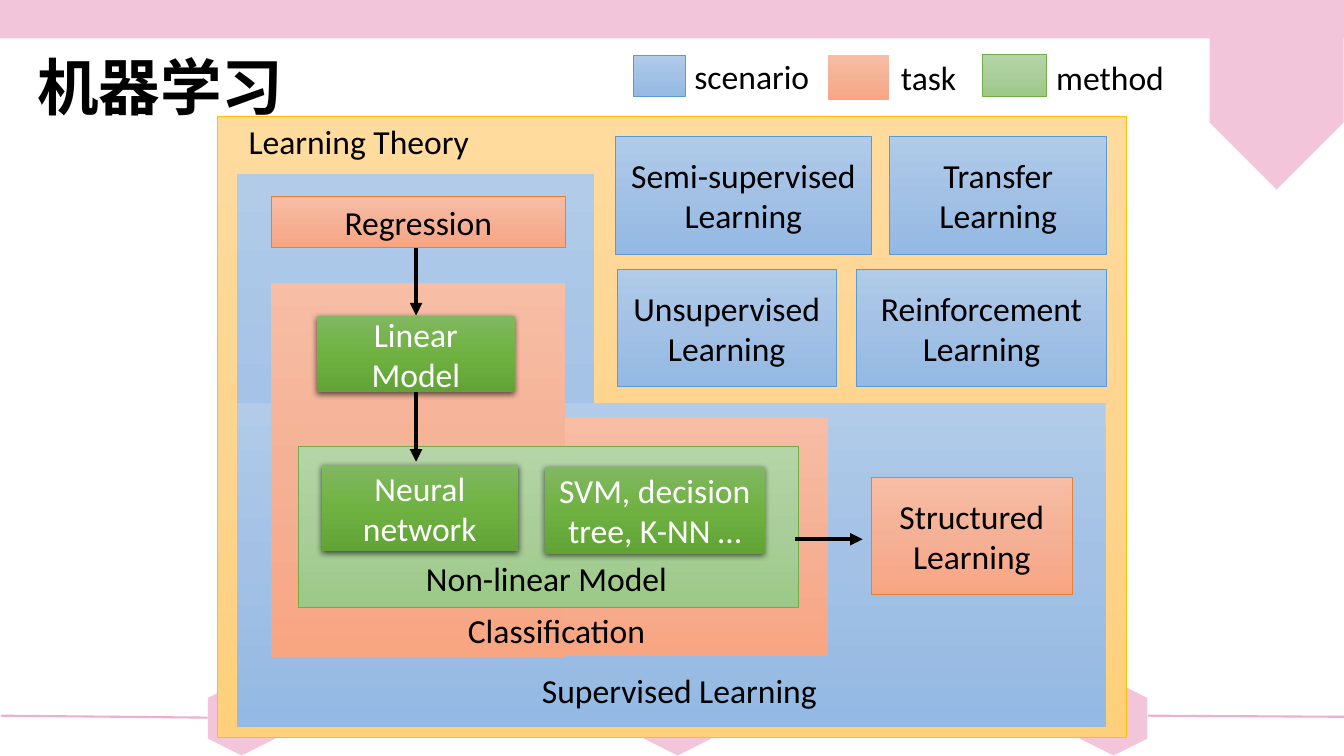
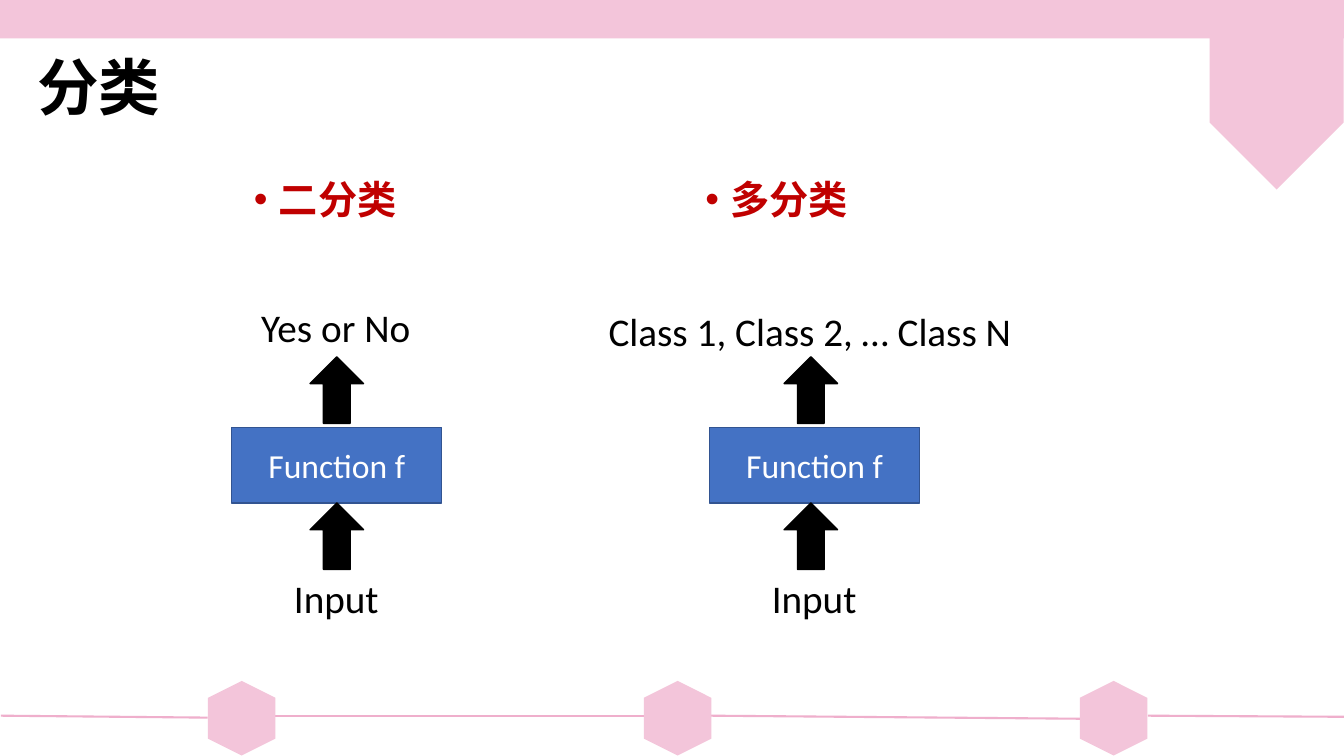
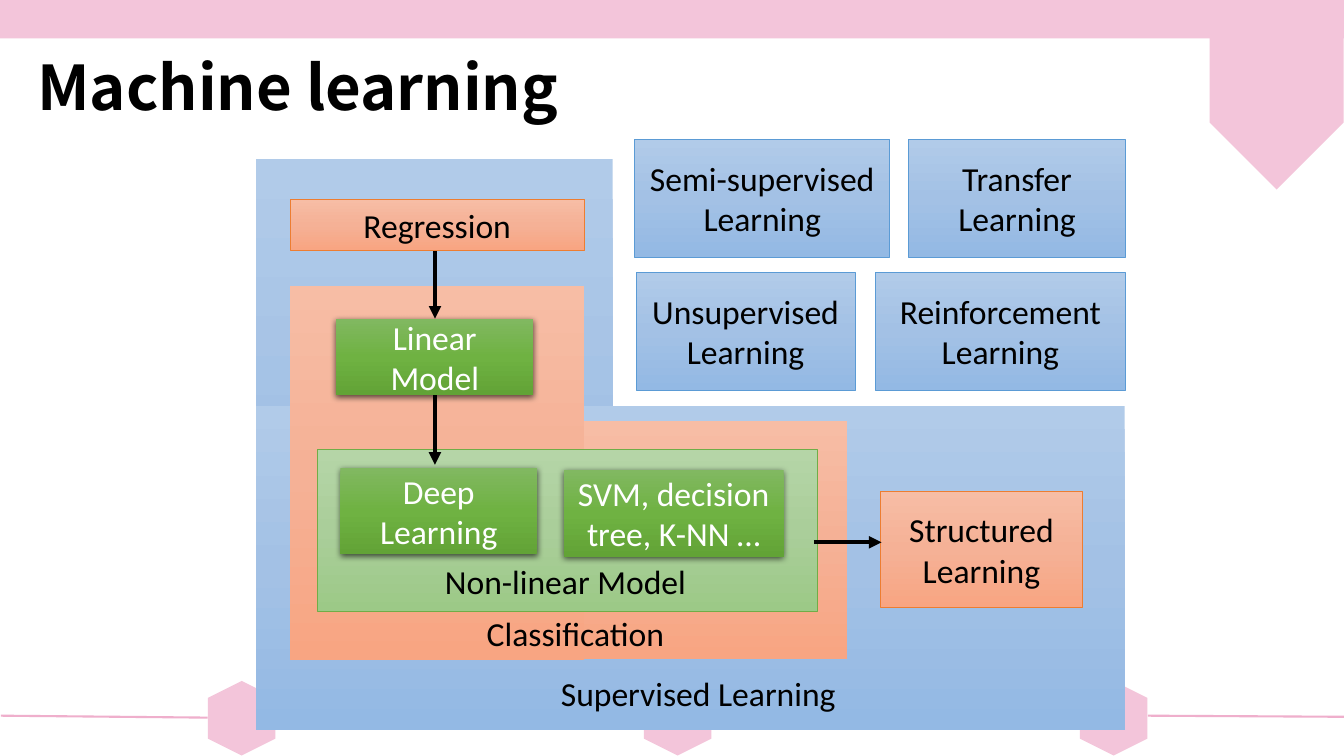
from lxml.etree import SubElement
from pptx import Presentation
from pptx.dml.color import RGBColor
from pptx.enum.shapes import MSO_CONNECTOR, MSO_SHAPE
from pptx.enum.text import MSO_ANCHOR, MSO_AUTO_SIZE, PP_ALIGN
from pptx.oxml.ns import qn
from pptx.util import Pt

LATIN = "Calibri"
HAN = "Noto Sans CJK SC"
BLACK, WHITE, RED = "000000", "FFFFFF", "C00000"
PINK, ROSE = "F3C5DA", "EFAFCC"
BLUE, NAVY = "4472C4", "325491"
TONES = {
    "theory": ("FFDB9E", "FFD590", "FFD07C"),
    "scene": ("B1CBE9", "A3C1E5", "93B9E4"),
    "task": ("F7BDA5", "F5B196", "F8A582"),
    "method": ("B5D5A7", "AACE9A", "9CC987"),
    "model": ("81B861", "6FB242", "62A336"),
}
EDGES = {"theory": "FFC000", "scene": "5B9BD5", "task": "ED7D31", "method": "70AD47"}


def hue(code):
    return RGBColor.from_string(code)


def place(org, box):
    x, y, w, h = box
    return [Pt(v) for v in (org[0] + x, org[1] + y, w, h)]


def style(para, size, color, font=LATIN, bold=False):
    for run in para.runs:
        run.font.size = Pt(size)
        run.font.bold = bold
        run.font.color.rgb = hue(color)
        run.font.name = font
        SubElement(run._r.get_or_add_rPr(), qn("a:ea"), typeface=font)


def write(shape, text, size=24, color=BLACK, align=PP_ALIGN.CENTER):
    frame = shape.text_frame
    frame.word_wrap = True
    frame.vertical_anchor = MSO_ANCHOR.MIDDLE
    frame.text = text
    para = frame.paragraphs[0]
    para.alignment = align
    style(para, size, color)


def label(slide, org, box, text, size=24, align=PP_ALIGN.CENTER):
    write(slide.shapes.add_textbox(*place(org, box)), text, size, align=align)


def solid(slide, kind, org, box, fill, edge=None):
    shape = slide.shapes.add_shape(kind, *place(org, box))
    shape.shadow.inherit = False
    shape.fill.solid()
    shape.fill.fore_color.rgb = hue(fill)
    if edge:
        shape.line.color.rgb = hue(edge)
        shape.line.width = Pt(1)
    else:
        shape.line.fill.background()
    return shape


def block(slide, org, box, tone, text="", edge=True):
    shape = solid(slide, MSO_SHAPE.RECTANGLE, org, box, WHITE)
    shape.fill.gradient()
    shape.fill.gradient_angle = 270
    stops = shape.element.spPr.find(".//" + qn("a:gsLst"))
    for stop in list(stops):
        stops.remove(stop)
    for i, code in enumerate(TONES[tone]):
        stop = SubElement(stops, qn("a:gs"), pos=str(i * 50000))
        SubElement(stop, qn("a:srgbClr"), val=code)
    if edge and tone in EDGES:
        shape.line.color.rgb = hue(EDGES[tone])
        shape.line.width = Pt(0.5)
    if tone == "model":
        shade(shape)
    if text:
        write(shape, text, color=WHITE if tone == "model" else BLACK)


def shade(shape):
    effects = shape.element.spPr.find(qn("a:effectLst"))
    outer = SubElement(effects, qn("a:outerShdw"), blurRad=str(Pt(4.5)),
                       dist=str(Pt(1.5)), dir="5400000", algn="ctr", rotWithShape="0")
    color = SubElement(outer, qn("a:srgbClr"), val=BLACK)
    SubElement(color, qn("a:alpha"), val="63000")


def link(slide, org, ends, color, width, arrow=False):
    x1, y1, x2, y2 = ends
    x, y = org
    line = slide.shapes.add_connector(
        MSO_CONNECTOR.STRAIGHT, Pt(x + x1), Pt(y + y1), Pt(x + x2), Pt(y + y2))
    line.line.color.rgb = hue(color)
    line.line.width = Pt(width)
    props = line.element.spPr
    if arrow:
        SubElement(props.find(qn("a:ln")), qn("a:tailEnd"), type="triangle")
    SubElement(props, qn("a:effectLst"))


def dress(slide, layout):
    org = (0, 0)
    for ends in ((196.6, 511.2, 460, 511.2), (507.6, 511.2, 771.8, 513.4),
                 (0.7, 511.2, 148.3, 512.6), (820, 511.2, 960, 512)):
        link(slide, org, ends, ROSE, 1.5)
    for i in range(3):
        box = (146 + i * 311.4, 488.9, 53.3, 48.2)
        solid(slide, MSO_SHAPE.HEXAGON, org, box, PINK).rotation = 270
    solid(slide, MSO_SHAPE.RECTANGLE, org, (0, -1.4, 960, 28.8), PINK)
    solid(slide, MSO_SHAPE.PENTAGON, org, (846, 21.6, 131.8, 95.8), PINK).rotation = 90
    for spare in list(layout.placeholders)[1:]:
        spare.element.getparent().remove(spare.element)
    parts = [s for s in slide.shapes if not s.is_placeholder]
    for i, part in enumerate(parts):
        layout.shapes.element.insert(2 + i, part.element)


def head(slide, text):
    title = slide.shapes.title
    title.left, title.top, title.width, title.height = place((0, 0), (19.4, 12.2, 828, 104.4))
    frame = title.text_frame
    frame.text = text
    frame.word_wrap = True
    frame.auto_size = MSO_AUTO_SIZE.NONE
    frame.vertical_anchor = MSO_ANCHOR.MIDDLE
    para = frame.paragraphs[0]
    para.alignment = PP_ALIGN.LEFT
    para.line_spacing = 0.9
    style(para, 44, BLACK, HAN, True)


def theory(slide, org):
    block(slide, org, (0, 0, 649.4, 444.2), "theory")
    label(slide, org, (13.7, 0, 174.2, 36), "Learning Theory")


def legend(slide, org):
    for tone, text, box, left, top, wide in (
            ("scene", "scenario", (0, 3.6, 37.4, 29.5), 36.7, 0, 102),
            ("task", "task", (139, 3.6, 44, 31.7), 184.3, 0.7, 56),
            ("method", "method", (249.8, 2.9, 45.4, 30.2), 295.2, 1.4, 102)):
        block(slide, org, box, tone, edge=tone != "task")
        label(slide, org, (left, top, wide, 36), text, align=PP_ALIGN.LEFT)


def chart(slide, org, net, arm, goal):
    block(slide, org, (0, arm, 255, 406.8 - arm), "scene", edge=False)
    block(slide, org, (0, 190.8, 620.6, 231), "scene", edge=False)
    block(slide, org, (51, 201.6, 371.5, 170), "task", edge=False)
    block(slide, org, (24.5, 43.2, 210.2, 36), "task", "Regression")
    block(slide, org, (24.5, 105, 210.2, 267), "task", edge=False)
    block(slide, org, (57.4, 128.2, 141, 54.7), "model", "Linear Model")
    block(slide, org, (*goal, 144, 83.5), "task", "Structured Learning")
    for x, y, w, text in ((270.7, 0, 182.2, "Semi-supervised"),
                          (466.4, 0, 154.8, "Transfer"),
                          (271.8, 95, 156.2, "Unsupervised"),
                          (442.6, 95, 178.6, "Reinforcement")):
        block(slide, org, (x, y, w, 84.2), "scene", text + " Learning")
    block(slide, org, (43.9, 221.8, 357, 115.2), "method")
    block(slide, org, (60.5, 234.7, 140.4, 62), "model", net)
    block(slide, org, (220, 236.2, 157, 62), "model", "SVM, decision tree, K-NN …")
    for x, y, w, text in ((182.2, 378, 267.8, "Supervised Learning"),
                          (148, 334.8, 160.6, "Classification"),
                          (121.5, 297.4, 199.4, "Non-linear Model")):
        label(slide, org, (x, y, w, 36), text)
    for ends in ((128, 80, 128, 128.2), (128, 183, 128, 232.6), (398.7, 288, 447, 288)):
        link(slide, org, ends, BLACK, 3, True)


def topic(slide, org, text):
    frame = slide.shapes.add_textbox(*place(org, (0, 0, 306, 342.7))).text_frame
    frame.word_wrap = True
    frame.text = text
    para = frame.paragraphs[0]
    para.line_spacing = 0.9
    props = para._p.get_or_add_pPr()
    props.set("marL", str(Pt(18)))
    props.set("indent", str(-Pt(18)))
    SubElement(props, qn("a:buFont"), typeface="Arial")
    SubElement(props, qn("a:buChar"), char="•")
    style(para, 28, RED, HAN, True)


def flow(slide, org, mid, out, lift, wide):
    box = solid(slide, MSO_SHAPE.RECTANGLE, org, (0, 92, 150, 54), BLUE, NAVY)
    write(box, "Function f", color=WHITE)
    for y in (41.6, 146):
        solid(slide, MSO_SHAPE.UP_ARROW, org, (mid - 19.1, y, 38.2, 47.5), BLACK, BLACK)
    label(slide, org, (-13.2, 193.5, 175.7, 41), "Input", 28)
    label(slide, org, (mid - wide / 2 - 0.8, lift, wide, 41), out, 28)


def main():
    deck = Presentation()
    deck.slide_width, deck.slide_height = Pt(960), Pt(540)
    layout = deck.slide_layouts[5]
    titles = ("机器学习", "分类", "Machine learning")
    first, second, third = [deck.slides.add_slide(layout) for _ in titles]
    dress(first, layout)
    for slide, text in zip((first, second, third), titles):
        head(slide, text)

    theory(first, (155.5, 82.8))
    chart(first, (169.2, 97.2), "Neural network", 27.4, (453, 244))
    legend(first, (452.2, 36))

    topic(second, (174.2, 125.3), "二分类")
    topic(second, (496.8, 125.3), "多分类")
    flow(second, (165.6, 213.3), 75, "Yes or No", 0, 152.6)
    flow(second, (506.9, 213.3), 72.3, "Class 1, Class 2, … Class N", 2.7, 309.6)

    chart(third, (182.7, 99.4), "Deep Learning", 14.4, (446.4, 251.3))
    deck.save("out.pptx")


if __name__ == "__main__":
    main()
